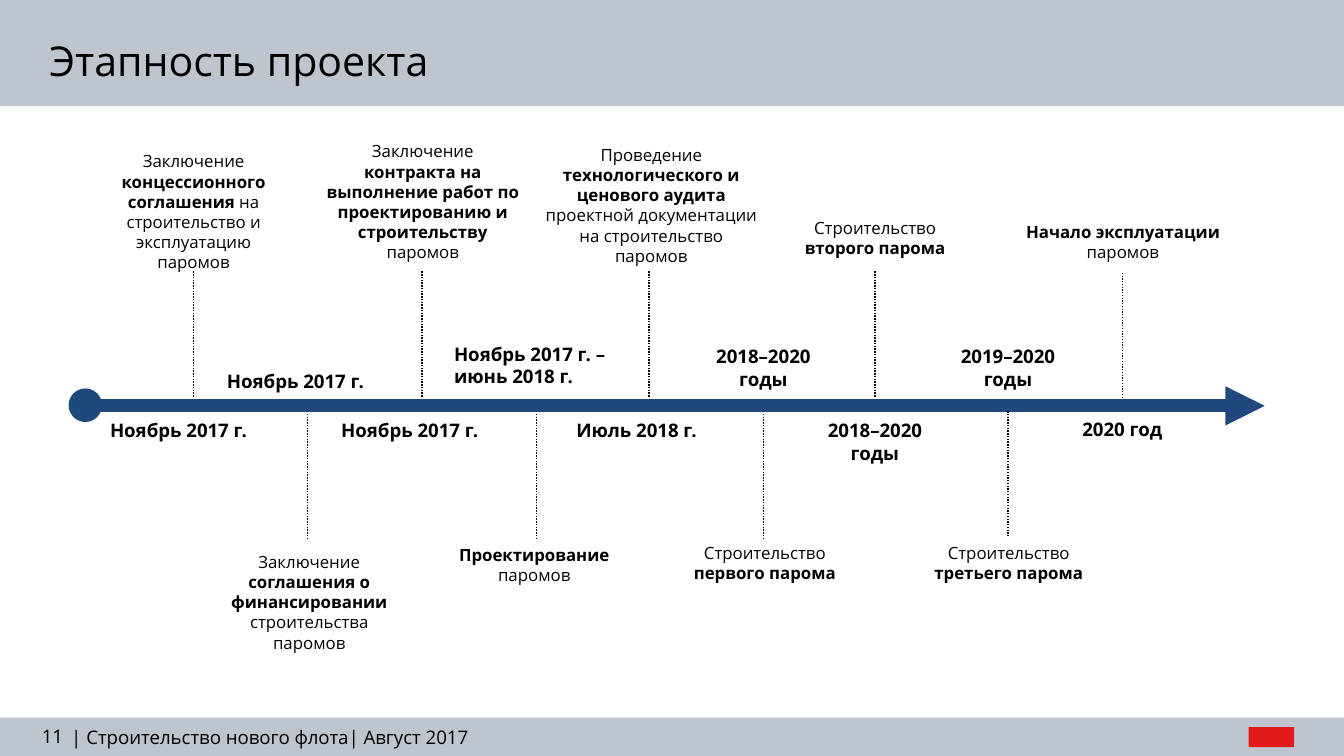
from lxml import etree
from pptx import Presentation
from pptx.dml.color import RGBColor
from pptx.enum.dml import MSO_LINE_DASH_STYLE as DASH
from pptx.enum.shapes import MSO_CONNECTOR, MSO_SHAPE
from pptx.enum.text import MSO_ANCHOR, MSO_AUTO_SIZE, PP_ALIGN
from pptx.oxml.ns import qn
from pptx.util import Inches, Pt

FONT = "Open Sans"
BLACK, GREY, NAVY, RED = "000000", "BFC5CE", "1F497D", "E21A1A"
TOP, MIDDLE = MSO_ANCHOR.TOP, MSO_ANCHOR.MIDDLE
LEFT, CENTER, RIGHT = PP_ALIGN.LEFT, PP_ALIGN.CENTER, PP_ALIGN.RIGHT

# Stage descriptions, bold parts between asterisks: box, anchor, text
STAGES = [
    ((0.75, 1.07, 1.38, 1.01), MIDDLE,
     "Заключение *концессионного соглашения *на строительство и эксплуатацию паромов"),
    ((1.49, 4.05, 1.62, 0.86), MIDDLE,
     "Заключение *соглашения о финансировании *строительства паромов"),
    ((2.32, 1.0, 1.65, 1.01), TOP,
     "Заключение *контракта на выполнение работ по проектированию и строительству *паромов"),
    ((3.21, 4.0, 1.53, 0.4), MIDDLE, "*Проектирование* паромов"),
    ((3.95, 1.02, 1.79, 1.01), MIDDLE,
     "Проведение *технологического и ценового аудита *"
     "проектной документации на строительство паромов"),
    ((4.88, 3.99, 1.62, 0.4), MIDDLE, "Строительство *первого парома*"),
    ((5.77, 1.57, 1.48, 0.4), MIDDLE, "Строительство *второго парома*"),
    ((6.74, 3.99, 1.53, 0.4), MIDDLE, "Строительство *третьего парома*"),
    ((7.44, 1.6, 1.83, 0.4), TOP, "*Начало эксплуатации *паромов"),
]

# Dates on the opposite side of the axis: box, alignment, text
DATES = [
    ((0.72, 3.07, 1.42, 0.27), LEFT, "Ноябрь 2017 г."),
    ((1.59, 2.7, 1.42, 0.27), LEFT, "Ноябрь 2017 г."),
    ((2.44, 3.07, 1.42, 0.27), LEFT, "Ноябрь 2017 г."),
    ((3.28, 2.5, 1.48, 0.44), LEFT, "Ноябрь 2017 г. – июнь 2018 г."),
    ((4.19, 3.07, 1.3, 0.27), LEFT, "Июль 2018 г."),
    ((5.05, 2.52, 1.26, 0.44), CENTER, "2018–2020 годы"),
    ((5.88, 3.07, 1.26, 0.44), CENTER, "2018–2020 годы"),
    ((6.87, 2.52, 1.26, 0.44), CENTER, "2019–2020 годы"),
    ((7.72, 3.06, 1.26, 0.27), CENTER, "2020 год"),
]

# Dotted leaders, alternately above and below the axis: x, top
LEADERS = [(1.44, 2.02), (2.29, 3.08), (3.14, 2.02), (3.99, 3.08), (4.83, 2.02),
           (5.68, 3.08), (6.51, 2.02), (7.5, 3.06), (8.35, 2.03)]
LEADER_LENGTH = 0.94


def color(value):
    return RGBColor.from_string(value)


def add_block(slide, kind, box, fill):
    s = slide.shapes.add_shape(kind, *map(Inches, box))
    s.shadow.inherit = False
    s.fill.solid()
    s.fill.fore_color.rgb = color(fill)
    s.line.fill.background()
    return s


def add_line(slide, start, end, line_color, width):
    s = slide.shapes.add_connector(MSO_CONNECTOR.STRAIGHT, *map(Inches, start + end))
    s.line.color.rgb = color(line_color)
    s.line.width = Pt(width)
    etree.SubElement(s._element.spPr, qn("a:effectLst"))
    return s


def add_text(slide, box, text, size, align=LEFT, anchor=TOP, inset=True):
    s = slide.shapes.add_textbox(*map(Inches, box))
    tf = s.text_frame
    tf.word_wrap = True
    tf.auto_size = MSO_AUTO_SIZE.NONE
    tf.vertical_anchor = anchor
    if not inset:
        tf.margin_left = tf.margin_right = tf.margin_top = tf.margin_bottom = 0
    p = tf.paragraphs[0]
    p.alignment = align
    p.font.name = FONT
    p.font.size = Pt(size)
    p.font.color.rgb = color(BLACK)
    # Every second part between asterisks is bold
    for i, part in enumerate(text.split("*")):
        if part:
            r = p.add_run()
            r.text = part
            r.font.bold = i % 2 == 1


def add_frame(slide):
    add_block(slide, MSO_SHAPE.RECTANGLE, (-0.02, -0.04, 10.02, 0.83), GREY)
    add_block(slide, MSO_SHAPE.RECTANGLE, (0, 5.34, 10, 0.29), GREY)
    add_text(slide, (0.22, 5.39, 0.25, 0.17), "11", 10, RIGHT, MIDDLE, inset=False)
    add_text(slide, (0.53, 5.4, 4.08, 0.17),
             "| Строительство нового флота| Август 2017", 10, inset=False)
    # Plain mark in the footer corner
    add_block(slide, MSO_SHAPE.RECTANGLE, (9.29, 5.41, 0.34, 0.15), RED)
    add_text(slide, (0.27, 0, 9.37, 0.9), "Этапность проекта", 22, anchor=MIDDLE)


def add_axis(slide):
    axis = add_line(slide, (0.67, 3.02), (9.41, 3.02), NAVY, 7)
    etree.SubElement(axis.line._get_or_add_ln(), qn("a:tailEnd"), type="triangle")
    add_block(slide, MSO_SHAPE.OVAL, (0.51, 2.89, 0.25, 0.25), NAVY)
    for x, top in LEADERS:
        leader = add_line(slide, (x, top), (x, top + LEADER_LENGTH), BLACK, 0.75)
        leader.line.dash_style = DASH.ROUND_DOT


def main():
    prs = Presentation()
    # Widescreen, 16:9
    prs.slide_width = Inches(10)
    prs.slide_height = Inches(10 * 9 / 16)
    slide = prs.slides.add_slide(prs.slide_layouts[6])

    add_frame(slide)
    add_axis(slide)
    for box, anchor, text in STAGES:
        add_text(slide, box, text, 9, CENTER, anchor)
    for box, align, text in DATES:
        add_text(slide, box, f"*{text}*", 10, align)

    prs.save("out.pptx")


if __name__ == "__main__":
    main()
